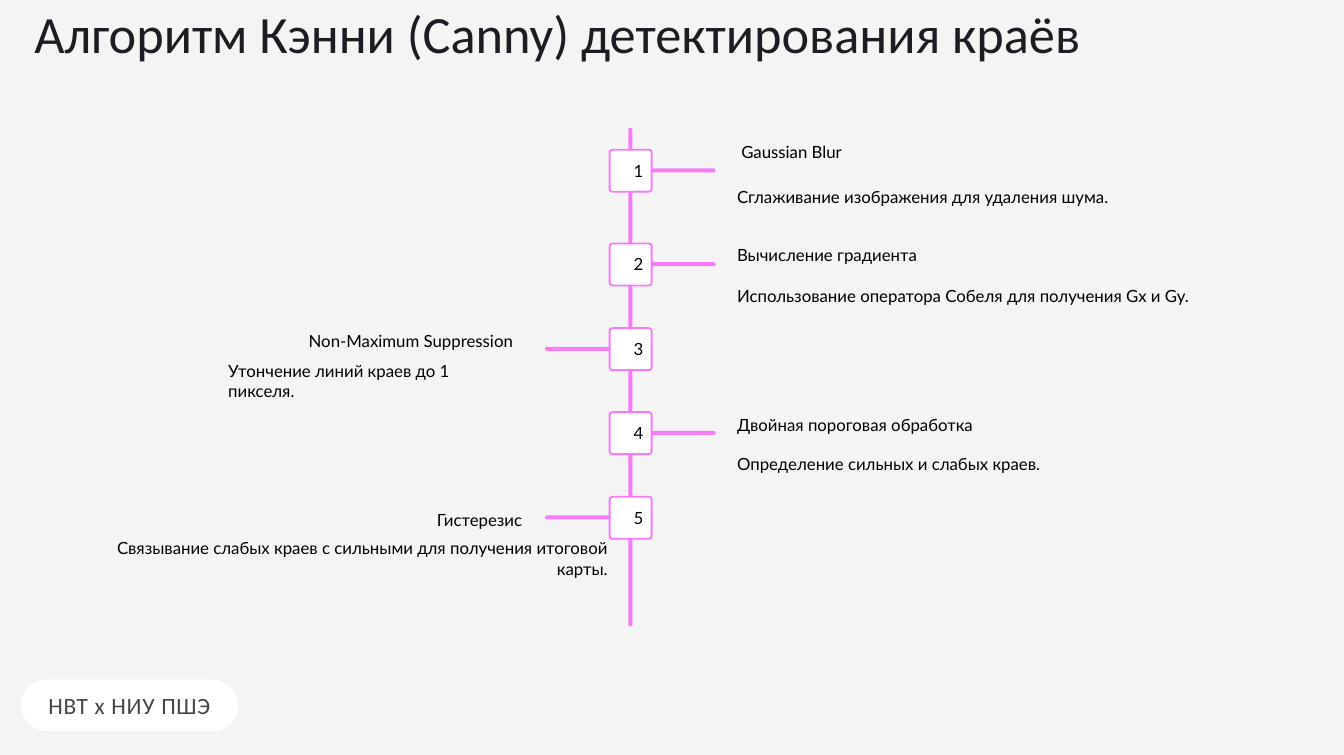
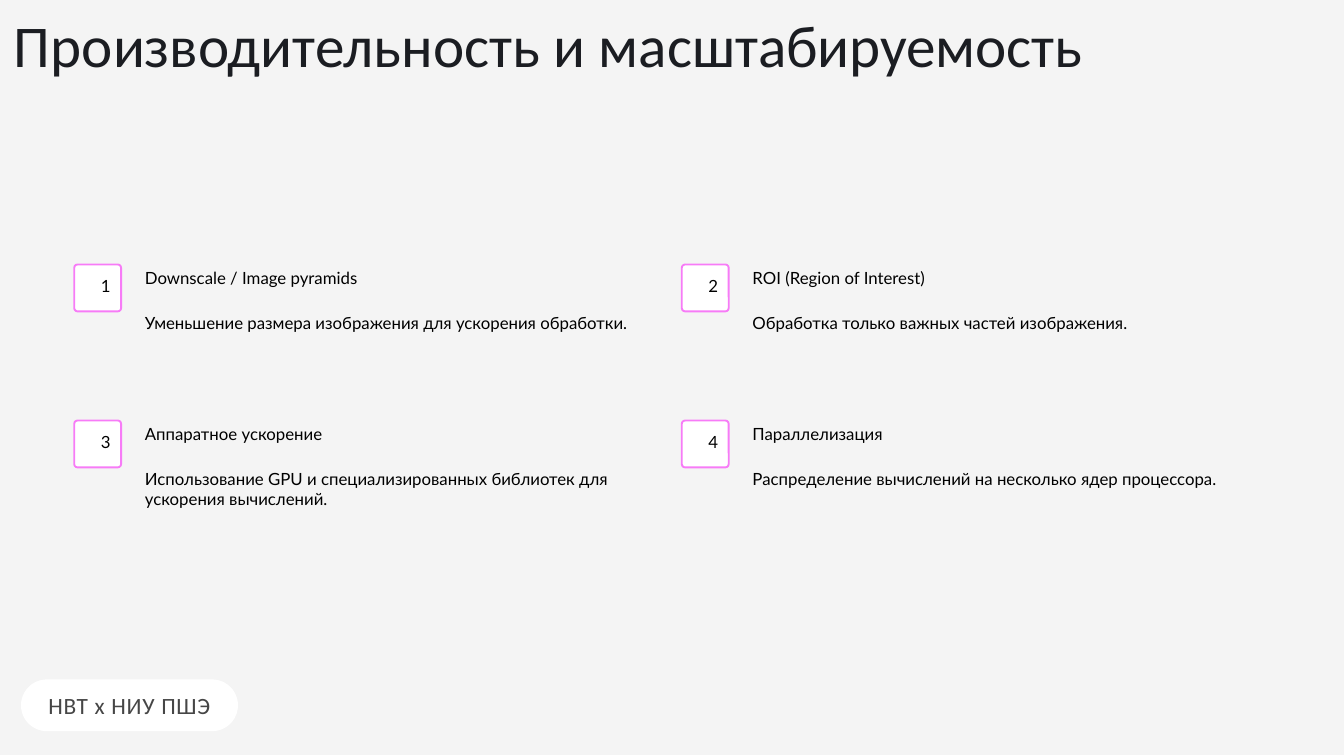
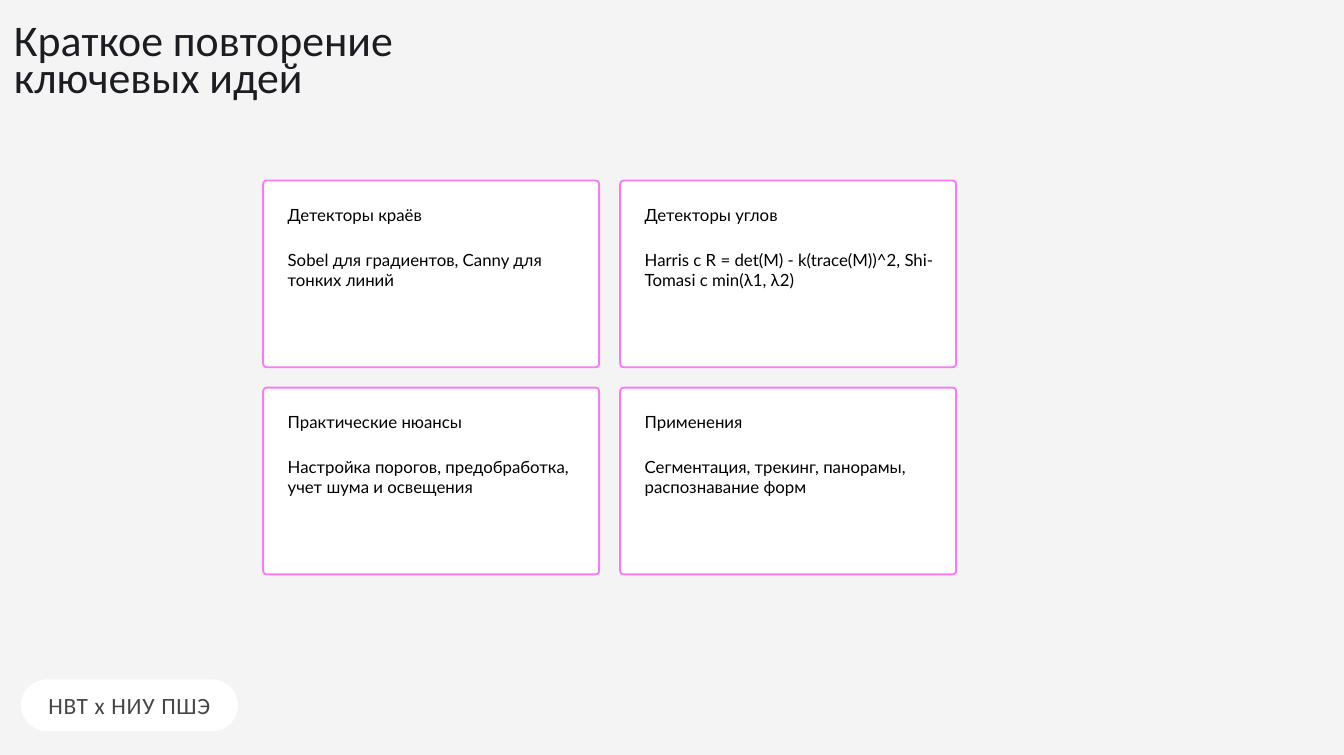
from dataclasses import dataclass
from typing import Any

from pptx import Presentation
from pptx.dml.color import RGBColor
from pptx.enum.shapes import MSO_SHAPE
from pptx.enum.text import MSO_ANCHOR, MSO_AUTO_SIZE, PP_ALIGN
from pptx.shapes.autoshape import Shape
from pptx.slide import Slide, SlideLayout
from pptx.util import Pt

EMU_PER_PX = 9525
SLIDE_WIDTH, SLIDE_HEIGHT = 1920, 1079
INSET = 5
LINE_HEIGHT = 37
TWO_LINE_HEIGHT = 71
NUMBER_WIDTH = 25

BACKDROP = "F4F4F4"
WHITE = "FFFFFF"
PINK = "F77BF7"
BLACK = "000000"
TITLE_INK = "1B1D22"
FOOTER_INK = "464646"

BODY_FONT = {"name": "Lato", "size": Pt(18)}
TITLE_FONT = {"name": "Calibri"}
FOOTER_FONT = {"name": "Calibri", "size": Pt(25)}
INSETS = {f"margin_{side}": INSET * EMU_PER_PX for side in ("left", "top", "right", "bottom")}
FITTED = {"auto_size": MSO_AUTO_SIZE.SHAPE_TO_FIT_TEXT, **INSETS}


@dataclass(frozen=True)
class Box:
    left: int
    top: int
    width: int
    height: int = LINE_HEIGHT


@dataclass(frozen=True)
class Caption:
    text: str
    box: Box
    wrap: bool = False
    align: PP_ALIGN = PP_ALIGN.LEFT


@dataclass(frozen=True)
class Step:
    top: int
    branch_left: int
    captions: tuple[Caption, Caption]


@dataclass(frozen=True)
class Topic:
    heading: str
    heading_width: int
    body: str
    body_width: int
    body_height: int = TWO_LINE_HEIGHT


@dataclass(frozen=True)
class Grid:
    first: Box
    column_step: int
    row_step: int
    corner: float
    text_left: int
    heading_top: int
    numbered: bool


BRANCH_RIGHT, BRANCH_LEFT = 927, 780
BRANCH_WIDTH, LINE_THICKNESS = 94, 3
BRANCH_DROP = 28
STEP_LEFT, STEP_SIZE = 871, 60
SPINE = Box(899, 184, LINE_THICKNESS, 710)
BADGE_CORNER = 0.07
BODY_DROP = 64

STEPS = (
    Step(214, BRANCH_RIGHT, (
        Caption("Gaussian Blur", Box(1054, 197, 162)),
        Caption("Сглаживание изображения для удаления шума.", Box(1048, 262, 554)),
    )),
    Step(348, BRANCH_RIGHT, (
        Caption("Вычисление градиента", Box(1048, 345, 275)),
        Caption("Использование оператора Собеля для получения Gx и Gy.",
                Box(1048, 403, 717), wrap=True),
    )),
    Step(469, BRANCH_LEFT, (
        Caption("Non-Maximum Suppression", Box(436, 468, 317)),
        Caption("Утончение линий краев до 1 пикселя.", Box(321, 511, 426)),
    )),
    Step(589, BRANCH_RIGHT, (
        Caption("Двойная пороговая обработка", Box(1048, 587, 359)),
        Caption("Определение сильных и слабых краев.", Box(1048, 644, 452)),
    )),
    Step(710, BRANCH_LEFT, (
        Caption("Гистерезис", Box(613, 723, 138), align=PP_ALIGN.RIGHT),
        Caption("Связывание слабых краев с сильными для получения итоговой карты.",
                Box(156, 764, 717, TWO_LINE_HEIGHT), wrap=True, align=PP_ALIGN.RIGHT),
    )),
)

SCALING_GRID = Grid(Box(106, 378, 67, 67), 868, 223, BADGE_CORNER, 96, 0, True)
SCALING_TOPICS = (
    Topic("Downscale / Image pyramids", 328,
          "Уменьшение размера изображения для ускорения обработки.", 743, LINE_HEIGHT),
    Topic("ROI (Region of Interest)", 265,
          "Обработка только важных частей изображения.", 556, LINE_HEIGHT),
    Topic("Аппаратное ускорение", 272,
          "Использование GPU и специализированных библиотек для ускорения вычислений.", 743),
    Topic("Параллелизация", 203,
          "Распределение вычислений на несколько ядер процессора.", 743, LINE_HEIGHT),
)

REVIEW_GRID = Grid(Box(376, 258, 480, 267), 510, 296, 0.02, 30, 30, False)
REVIEW_TOPICS = (
    Topic("Детекторы краёв", 206, "Sobel для градиентов, Canny для тонких линий", 421),
    Topic("Детекторы углов", 202,
          "Harris с R = det(M) - k(trace(M))^2, Shi-Tomasi с min(λ1, λ2)", 421),
    Topic("Практические нюансы", 266,
          "Настройка порогов, предобработка, учет шума и освещения", 421),
    Topic("Применения", 154, "Сегментация, трекинг, панорамы, распознавание форм", 421),
)


def colour(value: str) -> RGBColor:
    return RGBColor.from_string(value)


def apply(target: Any, values: dict[str, Any]) -> None:
    for attribute, value in values.items():
        setattr(target, attribute, value)


def emu(box: Box) -> tuple[int, int, int, int]:
    return tuple(length * EMU_PER_PX for length in (box.left, box.top, box.width, box.height))


def style_text(holder: Shape, text: str, ink: str, font: dict[str, Any],
               frame: dict[str, Any], paragraph_format: dict[str, Any]) -> None:
    apply(holder.text_frame, frame)
    holder.text_frame.text = text
    for paragraph in holder.text_frame.paragraphs:
        apply(paragraph, paragraph_format)
        for run in paragraph.runs:
            apply(run.font, font)
            run.font.color.rgb = colour(ink)


def add_panel(slide: Slide, box: Box, corner: float, outline: str | None = PINK) -> Shape:
    panel = slide.shapes.add_shape(MSO_SHAPE.ROUNDED_RECTANGLE, *emu(box))
    panel.adjustments[0] = corner
    panel.shadow.inherit = False
    panel.fill.solid()
    panel.fill.fore_color.rgb = colour(WHITE)
    if outline:
        panel.line.color.rgb = colour(outline)
        panel.line.width = Pt(2)
    else:
        panel.line.fill.background()
    return panel


def add_caption(slide: Slide, caption: Caption) -> None:
    textbox = slide.shapes.add_textbox(*emu(caption.box))
    style_text(textbox, caption.text, BLACK, BODY_FONT,
               {"word_wrap": caption.wrap, **FITTED}, {"alignment": caption.align})


def add_titled_slide(deck: Any, layout: SlideLayout, title: str, size: float,
                     left: int, top: int) -> Slide:
    slide = deck.slides.add_slide(layout)
    heading = slide.shapes.title
    apply(heading, dict(zip(("left", "top", "width", "height"),
                            emu(Box(left, top, 1713, 136)))))
    style_text(heading, title, TITLE_INK, {"size": Pt(size), **TITLE_FONT},
               {"word_wrap": True, "auto_size": MSO_AUTO_SIZE.NONE,
                "vertical_anchor": MSO_ANCHOR.TOP, **INSETS},
               {"alignment": PP_ALIGN.LEFT, "line_spacing": 0.7})
    return slide


def add_shared_footer(slide: Slide, layout: SlideLayout) -> None:
    pill = add_panel(slide, Box(30, 971, 310, 74), 0.5, None)
    label = slide.shapes.add_textbox(*emu(Box(46, 963, 278, 89)))
    style_text(label, "НВТ х НИУ ПШЭ", FOOTER_INK, FOOTER_FONT,
               {"word_wrap": True, "vertical_anchor": MSO_ANCHOR.MIDDLE, **FITTED},
               {"alignment": PP_ALIGN.CENTER})
    label.element.xpath(".//a:rPr")[0].set("spc", "80")
    for shape_id, part in enumerate((pill, label), 101):
        part.element.xpath(".//p:cNvPr")[0].set("id", str(shape_id))
        layout.shapes.element.append(part.element)


def draw_timeline(slide: Slide) -> None:
    add_panel(slide, SPINE, 0.5)
    for number, step in enumerate(STEPS, 1):
        add_panel(slide, Box(step.branch_left, step.top + BRANCH_DROP,
                             BRANCH_WIDTH, LINE_THICKNESS), 0.5)
        add_panel(slide, Box(STEP_LEFT, step.top, STEP_SIZE, STEP_SIZE), BADGE_CORNER)
        add_caption(slide, Caption(str(number),
                                   Box(STEP_LEFT + 29, step.top + 10, NUMBER_WIDTH)))
        for caption in step.captions:
            add_caption(slide, caption)


def draw_topics(slide: Slide, grid: Grid, topics: tuple[Topic, ...]) -> None:
    for index, topic in enumerate(topics):
        row, column = divmod(index, 2)
        left = grid.first.left + column * grid.column_step
        top = grid.first.top + row * grid.row_step
        add_panel(slide, Box(left, top, grid.first.width, grid.first.height), grid.corner)
        if grid.numbered:
            add_caption(slide, Caption(str(index + 1), Box(left + 33, top + 11, NUMBER_WIDTH)))
        text_left, heading_top = left + grid.text_left, top + grid.heading_top
        add_caption(slide, Caption(topic.heading,
                                   Box(text_left, heading_top, topic.heading_width)))
        add_caption(slide, Caption(topic.body,
                                   Box(text_left, heading_top + BODY_DROP,
                                       topic.body_width, topic.body_height), wrap=True))


def main() -> None:
    deck = Presentation()
    apply(deck, {"slide_width": SLIDE_WIDTH * EMU_PER_PX,
                 "slide_height": SLIDE_HEIGHT * EMU_PER_PX})
    backdrop = deck.slide_master.background.fill
    backdrop.solid()
    backdrop.fore_color.rgb = colour(BACKDROP)
    layout = deck.slide_layouts.get_by_name("Title Only")

    canny = add_titled_slide(deck, layout, "Алгоритм Кэнни (Canny) детектирования краёв",
                             56.1, 44, 21)
    add_shared_footer(canny, layout)
    draw_timeline(canny)

    scaling = add_titled_slide(deck, layout, "Производительность и масштабируемость",
                               63.4, 15, 34)
    draw_topics(scaling, SCALING_GRID, SCALING_TOPICS)

    review = add_titled_slide(deck, layout, "Краткое повторение\nключевых идей", 46.9, 15, 34)
    draw_topics(review, REVIEW_GRID, REVIEW_TOPICS)

    deck.save("out.pptx")


if __name__ == "__main__":
    main()
